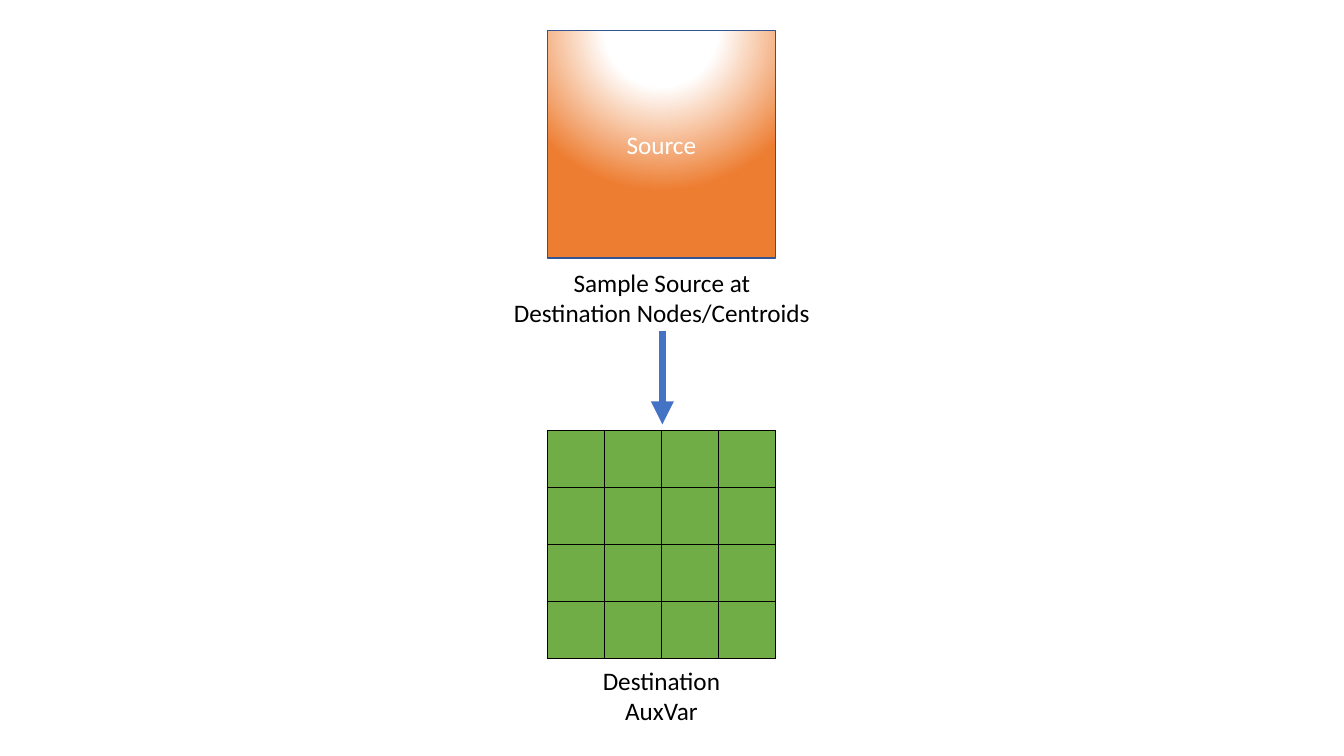
from pptx import Presentation
from pptx.dml.color import RGBColor
from pptx.enum.shapes import MSO_CONNECTOR, MSO_SHAPE
from pptx.enum.text import MSO_ANCHOR, MSO_AUTO_SIZE, PP_ALIGN
from pptx.oxml import parse_xml
from pptx.oxml.ns import nsdecls, qn
from pptx.util import Inches, Pt
from lxml.etree import SubElement

COLORS = {"white": "FFFFFF", "black": "000000", "orange": "ED7D31",
          "outline": "325491", "green": "70AD47", "arrow": "4472C4"}
LEFT, SIDE, N = 5.43, 2.26, 4


def rgb(name):
    return RGBColor.from_string(COLORS[name])


def add_text(tf, lines, size=18, color="black", font="Calibri"):
    for i, line in enumerate(lines):
        p = tf.paragraphs[0] if i == 0 else tf.add_paragraph()
        p.alignment = PP_ALIGN.CENTER
        r = p.add_run()
        r.text = line
        r.font.name = font
        r.font.size = Pt(size)
        r.font.color.rgb = rgb(color)


prs = Presentation()
prs.slide_width, prs.slide_height = Inches(13.33), Inches(7.5)
s = prs.slides.add_slide(prs.slide_layouts[6])

# Source square with a circular gradient centred above it
sp = s.shapes.add_shape(MSO_SHAPE.RECTANGLE, Inches(LEFT), Inches(0.3),
                        Inches(SIDE), Inches(SIDE))
sp.shadow.inherit = False
sp.line.color.rgb = rgb("outline")
sp.line.width = Pt(1)
sp.fill.gradient()
stops = "".join(
    f'<a:gs pos="{pos * 1000}"><a:srgbClr val="{COLORS[name]}"/></a:gs>'
    for pos, name in [(0, "white"), (35, "white"), (100, "orange")])
grad = sp.element.spPr.find(qn("a:gradFill"))
grad.getparent().replace(grad, parse_xml(
    f'<a:gradFill {nsdecls("a")} rotWithShape="1"><a:gsLst>{stops}</a:gsLst>'
    '<a:path path="circle"><a:fillToRect l="50000" t="-80000" r="50000" '
    'b="180000"/></a:path></a:gradFill>'))
sp.text_frame.vertical_anchor = MSO_ANCHOR.MIDDLE
add_text(sp.text_frame, ["Source"], color="white")

# Destination grid
table = s.shapes.add_table(N, N, Inches(LEFT), Inches(4.27),
                           Inches(SIDE), Inches(SIDE)).table
for line in [*table.columns]:
    line.width = Inches(SIDE / N)
for line in [*table.rows]:
    line.height = Inches(SIDE / N)
for cell in table.iter_cells():
    tcPr = cell._tc.get_or_add_tcPr()
    for side in "LRTB":
        tcPr.append(parse_xml(
            f'<a:ln{side} {nsdecls("a")} w="{Pt(1)}"><a:solidFill>'
            f'<a:srgbClr val="{COLORS["black"]}"/></a:solidFill></a:ln{side}>'))
    cell.fill.solid()
    cell.fill.fore_color.rgb = rgb("green")

# Captions
for left, top, width, lines in [
        (5.87, 6.55, 1.38, ["Destination", "AuxVar"]),
        (4.98, 2.6, 3.17, ["Sample Source at", "Destination Nodes/Centroids"])]:
    tf = s.shapes.add_textbox(Inches(left), Inches(top), Inches(width),
                              Inches(0.71)).text_frame
    tf.word_wrap = False
    tf.auto_size = MSO_AUTO_SIZE.SHAPE_TO_FIT_TEXT
    add_text(tf, lines)

# Arrow from source to destination
arrow = s.shapes.add_connector(MSO_CONNECTOR.STRAIGHT, Inches(6.57), Inches(3.28),
                               Inches(6.57), Inches(4.21))
arrow.line.color.rgb = rgb("arrow")
arrow.line.width = Pt(5.5)
SubElement(arrow.line._get_or_add_ln(), qn("a:tailEnd"), type="triangle")
SubElement(arrow.element.spPr, qn("a:effectLst"))

prs.save("out.pptx")
